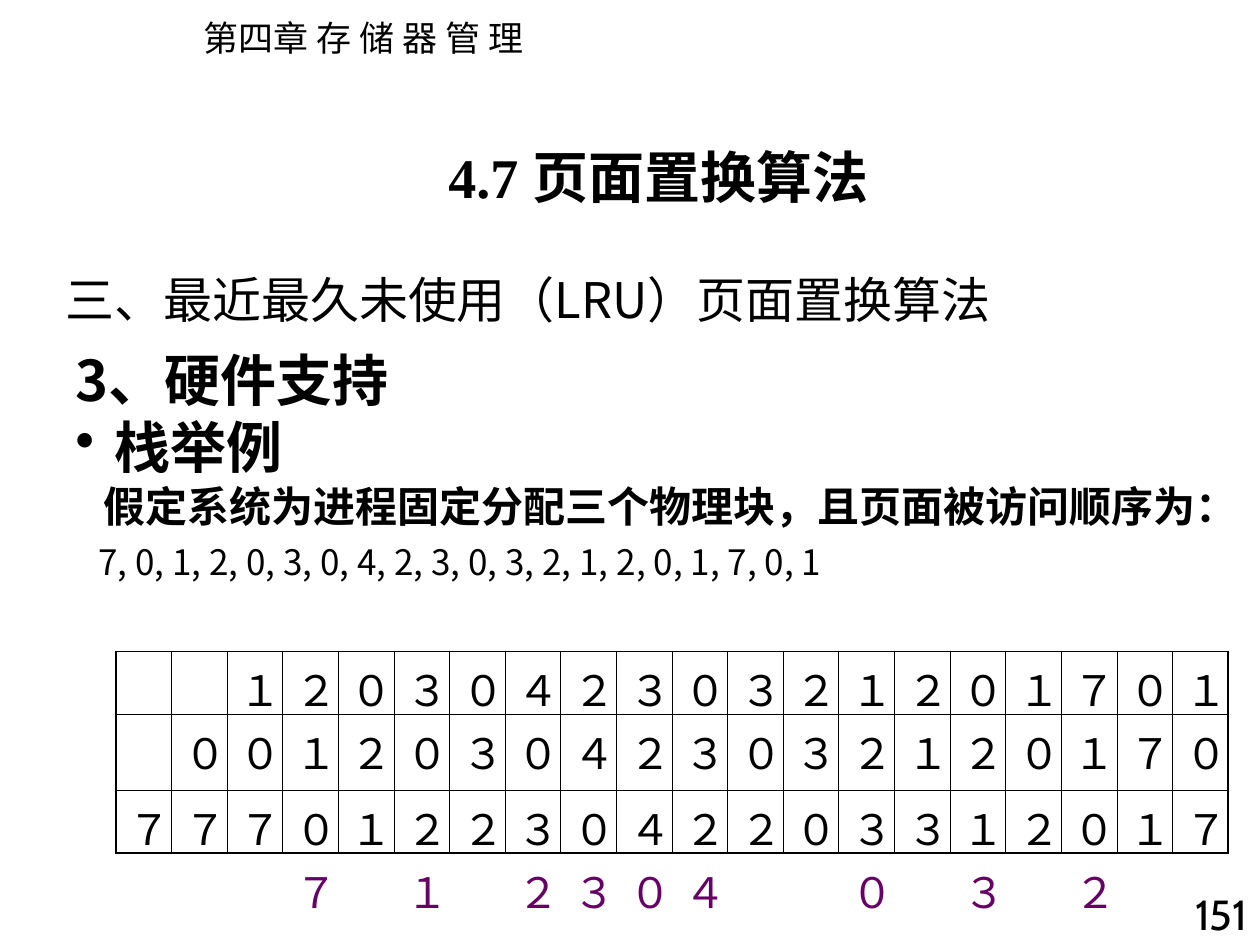
"""Build the slide that shows the LRU page replacement stack example."""
from lxml import etree
from pptx import Presentation
from pptx.dml.color import RGBColor
from pptx.enum import text
from pptx.oxml import ns
from pptx.util import Pt

BLACK = RGBColor(0, 0, 0)
PURPLE = RGBColor(0x66, 0x00, 0x66)
CJK = "Noto Sans CJK SC"
SERIF = "Times New Roman"
COLUMN_COUNT = 20
COLUMN_WIDTH = 31.8
TABLE_LEFT, TABLE_TOP = 66.24, 372.24
ROW_HEIGHTS = (36, 43.2, 36)
STACK_ROWS = (
    "１２０３０４２３０３２１２０１７０１",
    "００１２０３０４２３０３２１２０１７０",
    "７７７０１２２３０４２２０３３１２０１７",
)
EVICTED = {3: "７", 5: "１", 7: "２", 8: "３", 9: "０", 10: "４", 13: "０", 15: "３", 17: "２"}


class SlideBuilder:
    """Hold the text style and the current slide."""

    def __init__(self, slide):
        self.slide = slide

    def style(self, paragraph, size, font=CJK, color=BLACK, bold=False):
        """Format a paragraph and give each run its East Asian font."""
        paragraph.font.size = Pt(size)
        paragraph.font.name = font
        paragraph.font.bold = bold
        paragraph.font.color.rgb = color
        for run in paragraph.runs:
            run.font.name = font
            latin = run.font._element.find(ns.qn("a:latin"))
            east_asian = etree.Element(ns.qn("a:ea"), typeface=CJK)
            latin.addnext(east_asian)

    def title(self, words, left, top, width, height, size):
        """Place the title placeholder."""
        shape = self.slide.shapes.title
        shape.left, shape.top, shape.width, shape.height = map(Pt, (left, top, width, height))
        frame = shape.text_frame
        frame.text = words
        frame.auto_size = text.MSO_AUTO_SIZE.NONE
        frame.vertical_anchor = text.MSO_ANCHOR.MIDDLE
        frame.paragraphs[0].alignment = text.PP_ALIGN.LEFT
        self.style(frame.paragraphs[0], size)

    def textbox(self, words, left, top, width, height, size, wrap=True, grow=False,
                align=text.PP_ALIGN.LEFT, parent=None, **style):
        """Add a text box with one paragraph."""
        shapes = (parent or self.slide).shapes
        frame = shapes.add_textbox(*map(Pt, (left, top, width, height))).text_frame
        frame.word_wrap = wrap
        frame.auto_size = (text.MSO_AUTO_SIZE.SHAPE_TO_FIT_TEXT if grow
                           else text.MSO_AUTO_SIZE.NONE)
        paragraph = frame.paragraphs[0]
        paragraph.text = words
        paragraph.alignment = align
        self.style(paragraph, size, **style)
        return frame

    def add_line(self, frame, words, size, bold, before, margin, indent=0, bullet=None):
        """Append an indented, optionally bulleted paragraph."""
        paragraph = frame.add_paragraph()
        paragraph.text = words
        self.indent(paragraph, margin, indent, bullet)
        paragraph.line_spacing = 0.9
        paragraph.space_before = Pt(before)
        self.style(paragraph, size, bold=bold)

    def indent(self, paragraph, margin, indent, bullet=None):
        """Set the paragraph indents and bullet."""
        properties = paragraph._p.get_or_add_pPr()
        properties.set("marL", str(Pt(margin)))
        properties.set("indent", str(Pt(indent)))
        if bullet:
            etree.SubElement(properties, ns.qn("a:buChar"), char=bullet)

    def border(self, cell, widths):
        """Draw the left, right, top and bottom borders of a cell."""
        properties = cell._tc.get_or_add_tcPr()
        for index, (side, width) in enumerate(zip("LRTB", widths)):
            line = etree.Element(ns.qn(f"a:ln{side}"), w=str(Pt(width)))
            fill = etree.SubElement(line, ns.qn("a:solidFill"))
            etree.SubElement(fill, ns.qn("a:srgbClr"), val=str(BLACK))
            properties.insert(index, line)

    def table(self, rows, left, top, column_width, row_heights, size):
        """Add a ruled table whose rows are filled from the right."""
        table = self.slide.shapes.add_table(
            len(rows), COLUMN_COUNT, Pt(left), Pt(top),
            Pt(column_width * COLUMN_COUNT), Pt(sum(row_heights))).table
        table.first_row = table.horz_banding = False
        for column in table.columns:
            column.width = Pt(column_width)
        for row_index, digits in enumerate(rows):
            table.rows[row_index].height = Pt(row_heights[row_index])
            for column_index, digit in enumerate(digits.rjust(COLUMN_COUNT)):
                cell = table.cell(row_index, column_index)
                cell.margin_bottom = 0
                cell.fill.background()
                edges = (column_index == 0, column_index == COLUMN_COUNT - 1,
                         row_index == 0, row_index == len(rows) - 1)
                self.border(cell, [1.08 if edge else 0.45 for edge in edges])
                cell.text = digit.strip()
                self.style(cell.text_frame.paragraphs[0], size, SERIF)


def main():
    """Build and save the presentation."""
    presentation = Presentation()
    presentation.slide_width, presentation.slide_height = Pt(720), Pt(540)
    slide = presentation.slides.add_slide(presentation.slide_layouts[5])
    builder = SlideBuilder(slide)

    builder.textbox("第四章 存 储 器 管 理", 109.44, 5.76, 201.6, 31.68, 20, wrap=False, grow=True)
    builder.title("三、最近最久未使用（LRU）页面置换算法", 30.24, 144, 642.24, 54, 28)
    builder.textbox("151", 655.2, 504, 64.8, 40.32, 24, grow=True,
                    align=text.PP_ALIGN.RIGHT, font="Cabin")

    body = builder.textbox("3、硬件支持", 36, 198, 684, 180, 32, bold=True)
    builder.indent(body.paragraphs[0], 22.5, -22.5)
    body.paragraphs[0].line_spacing = 0.9
    builder.add_line(body, "栈举例", 32, True, 4, 22.5, -22.5, "•")
    builder.add_line(body, "假定系统为进程固定分配三个物理块，且页面被访问顺序为：", 24, True, 3, 16)
    builder.add_line(body, "7, 0, 1, 2, 0, 3, 0, 4, 2, 3, 0, 3, 2, 1, 2, 0, 1, 7, 0, 1",
                     20, False, 8, 13)

    builder.table(STACK_ROWS, TABLE_LEFT, TABLE_TOP, COLUMN_WIDTH, ROW_HEIGHTS, 24)
    evicted_group = slide.shapes.add_group_shape()
    for column, digit in EVICTED.items():
        builder.textbox(digit, TABLE_LEFT + column * COLUMN_WIDTH, 491.76, COLUMN_WIDTH, 36, 24,
                        parent=evicted_group, font=SERIF, color=PURPLE)
    builder.textbox("4.7 页面置换算法", 249.12, 77.76, 269.28, 46.08, 32, wrap=False, grow=True,
                    font=SERIF, bold=True)
    presentation.save("out.pptx")


if __name__ == "__main__":
    main()
